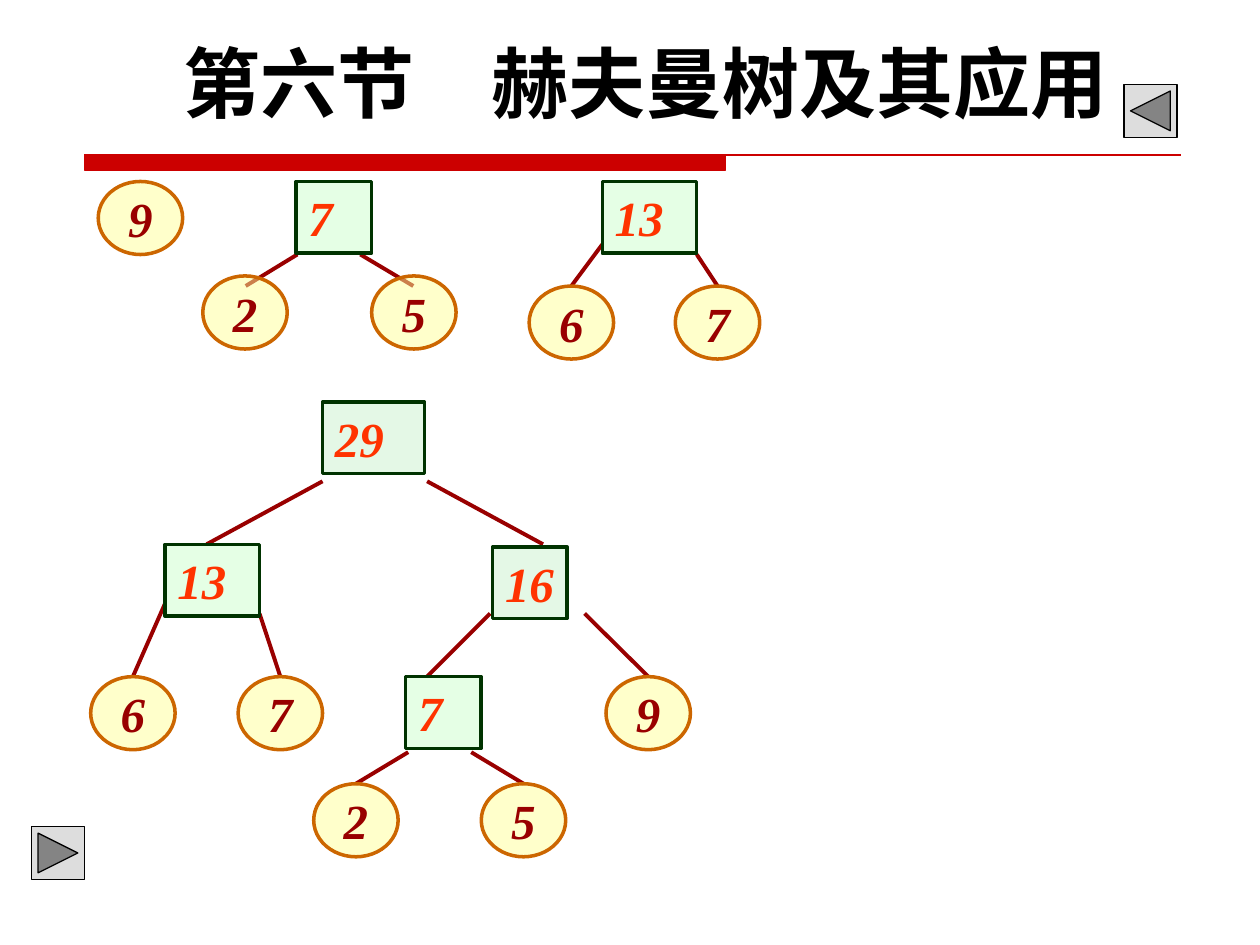
"""Build a slide that shows the merging steps of a Huffman tree."""
from pptx import Presentation
from pptx.dml.color import RGBColor
from pptx.enum.shapes import MSO_CONNECTOR, MSO_SHAPE as Shape
from pptx.enum.text import MSO_ANCHOR as Anchor, MSO_AUTO_SIZE as Fit, PP_ALIGN as Align
from pptx.oxml.ns import qn
from pptx.util import Inches, Pt
from lxml import etree


def color(value):
    return RGBColor.from_string(value)


def add_figure(kind, box, fill, line, width, alpha=None):
    figure = slide.shapes.add_shape(kind, *map(Inches, box))
    figure.shadow.inherit = False
    figure.fill.solid()
    figure.fill.fore_color.rgb = color(fill)
    figure.line.color.rgb = color(line)
    figure.line.width = Pt(width)
    if alpha:
        tint = figure.fill._xPr.find(".//" + qn("a:srgbClr"))
        etree.SubElement(tint, qn("a:alpha")).set("val", str(alpha * 1000))
    return figure


deck = Presentation()
deck.slide_width, deck.slide_height = Inches(10), Inches(7.5)
slide = deck.slides.add_slide(deck.slide_layouts[6])

RED = "CC0000"
outline = slide.shapes.build_freeform(Inches(0.67), Inches(1.23))
bar = [(5.76, 1.23), (5.76, 1.35), (0.67, 1.35)]
outline.add_line_segments([(Inches(x), Inches(y)) for x, y in bar], close=True)
outline.move_to(Inches(0.67), Inches(1.23))
outline.add_line_segments([(Inches(9.37), Inches(1.23))], close=False)
rule = outline.convert_to_shape()
rule.shadow.inherit = False
rule.fill.solid()
rule.fill.fore_color.rgb = rule.line.color.rgb = color(RED)
rule.line.width = Pt(0.75)

title = slide.shapes.add_textbox(Inches(0.5), Inches(0.23), Inches(9.25), Inches(0.84))
title.text_frame.word_wrap = True
title.text_frame.auto_size = Fit.SHAPE_TO_FIT_TEXT
heading = title.text_frame.paragraphs[0]
heading.text = "第六节\u3000赫夫曼树及其应用".replace("\u3000", "　")
heading.alignment = Align.CENTER
for name, value in {"name": "Karla", "size": Pt(44), "bold": True}.items():
    setattr(heading.font, name, value)
heading.font.color.rgb = color("000000")

LEAF = {"kind": Shape.OVAL, "line": "CC6600", "text": "990000", "align": Align.CENTER,
        "frame": {"word_wrap": False, "vertical_anchor": Anchor.MIDDLE}}
SUM = {"kind": Shape.RECTANGLE, "line": "003300", "text": "FF3300", "align": Align.LEFT,
       "frame": {"word_wrap": True, "vertical_anchor": Anchor.TOP,
                 "auto_size": Fit.SHAPE_TO_FIT_TEXT}}
NUMBER_FONT = {"name": "Times New Roman", "size": Pt(28), "bold": True, "italic": True}

sums = [("7", 2.35, 1.44, 0.6, "CCFFCC"), ("13", 4.78, 1.44, 0.75, "CCFFCC"),
        ("29", 2.56, 3.19, 0.81, "CAF2CE"), ("13", 1.31, 4.32, 0.75, "CCFFCC"),
        ("16", 3.91, 4.34, 0.59, "CAF2CE"), ("7", 3.22, 5.37, 0.6, "CCFFCC")]
leaves = [("9", 0.78, 1.44), ("2", 1.61, 2.19), ("5", 2.95, 2.19),
          ("6", 4.2, 2.27), ("7", 5.36, 2.27),
          ("6", 0.72, 5.37), ("7", 1.89, 5.37), ("9", 4.81, 5.37),
          ("2", 2.49, 6.22), ("5", 3.82, 6.22)]
nodes = [(SUM, label, (x, y, w, 0.57), fill) for label, x, y, w, fill in sums]
nodes += [(LEAF, label, (x, y, 0.67, 0.58), "FFFF99") for label, x, y in leaves]

loose_edges = [(2.36, 2.02, 1.95, 2.27), (2.86, 2.02, 3.28, 2.27),
               (2.56, 3.82, 1.64, 4.32), (3.39, 3.82, 4.31, 4.32),
               (3.89, 4.87, 3.39, 5.37)]
leaf_edges = [(4.78, 1.94, 4.2, 2.27), (5.53, 2.02, 5.36, 2.27),
              (1.31, 4.79, 0.72, 5.37), (2.06, 4.87, 1.89, 5.37),
              (4.64, 4.87, 4.81, 5.37),
              (3.24, 5.97, 2.49, 6.22), (3.74, 5.97, 3.82, 6.22)]

edges = []
for ends in loose_edges + leaf_edges:
    edge = slide.shapes.add_connector(MSO_CONNECTOR.STRAIGHT, *map(Inches, ends))
    edge.line.color.rgb = color("990000")
    edge.line.width = Pt(2.25)
    etree.SubElement(edge._element.spPr, qn("a:effectLst"))
    edges.append(edge)

placed = {}
for style, label, box, fill in nodes:
    node = add_figure(style["kind"], box, fill, style["line"], 2, alpha=50)
    for name, value in style["frame"].items():
        setattr(node.text_frame, name, value)
    number = node.text_frame.paragraphs[0]
    number.text = label
    number.alignment = style["align"]
    for name, value in NUMBER_FONT.items():
        setattr(number.font, name, value)
    number.font.color.rgb = color(style["text"])
    placed[box[:2]] = node

for edge, ends in zip(edges[len(loose_edges):], leaf_edges):
    edge.end_connect(placed[ends[2:]], 0)

for kind, x, y in [(Shape.ACTION_BUTTON_BACK_OR_PREVIOUS, 8.92, 0.67),
                   (Shape.ACTION_BUTTON_FORWARD_OR_NEXT, 0.25, 6.56)]:
    add_figure(kind, (x, y, 0.42, 0.42), "DDDDDD", "000000", 0.75)

deck.save("out.pptx")
